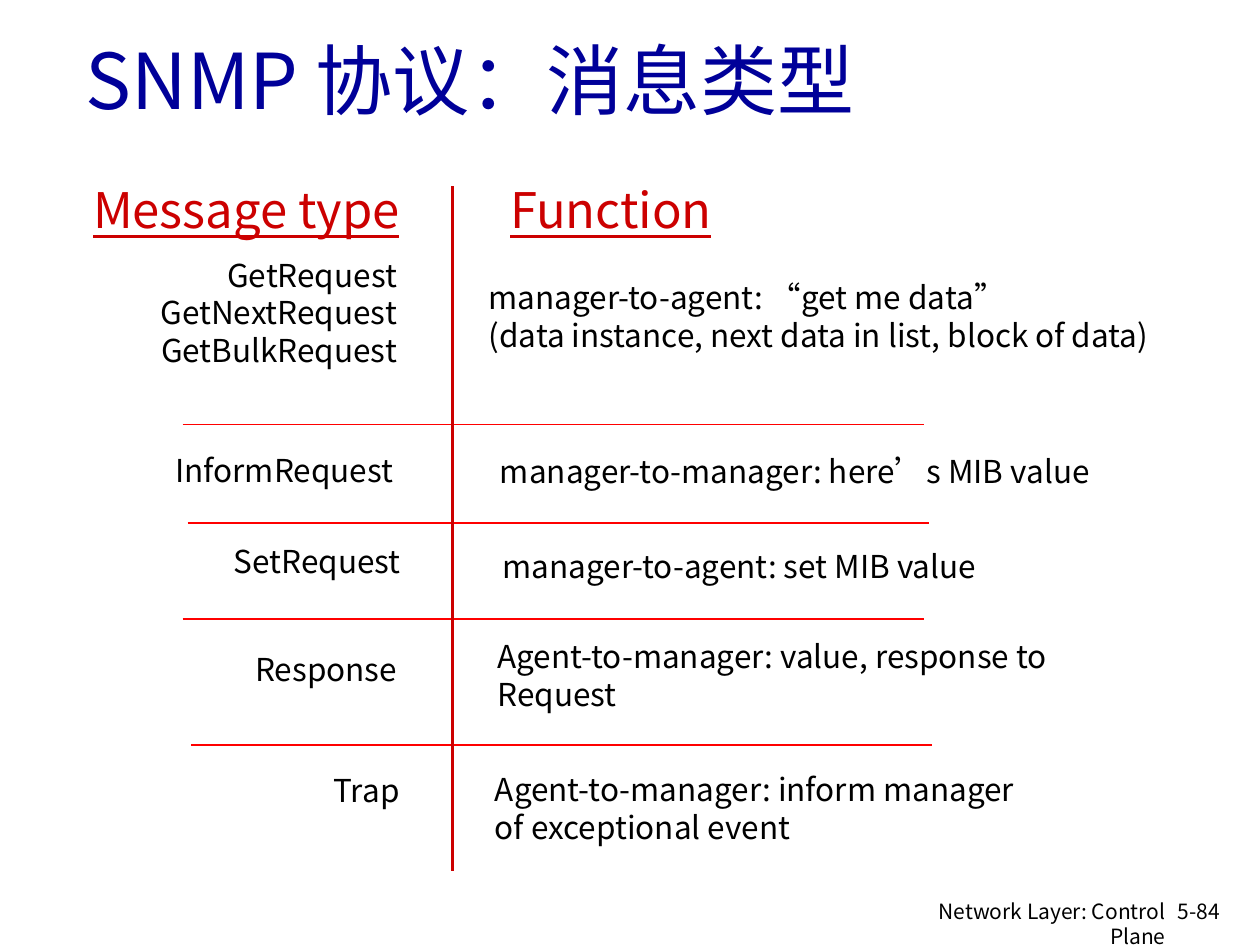
from lxml.etree import SubElement
from pptx import Presentation
from pptx.dml.color import RGBColor
from pptx.enum.shapes import MSO_CONNECTOR
from pptx.enum.text import MSO_ANCHOR, MSO_AUTO_SIZE, PP_ALIGN
from pptx.oxml.ns import qn
from pptx.util import Inches, Pt

FONT = "Noto Sans CJK SC"
NAVY = RGBColor(0x00, 0x00, 0x99)
CRIMSON = RGBColor(0xCC, 0x00, 0x00)
RED = RGBColor(0xFF, 0x00, 0x00)
BLACK = RGBColor(0x00, 0x00, 0x00)
LEFT, RIGHT = PP_ALIGN.LEFT, PP_ALIGN.RIGHT


def write(holder, text, size, color, align, underline=None):
    frame = holder.text_frame
    frame.text = text
    frame.word_wrap = True
    frame.auto_size = MSO_AUTO_SIZE.NONE
    for paragraph in frame.paragraphs:
        paragraph.alignment = align
        paragraph.line_spacing = Pt(size * 1.2)
        for run in paragraph.runs:
            run.font.size = Pt(size)
            run.font.name = FONT
            run.font.color.rgb = color
            run.font.underline = underline
            SubElement(run.font._element, qn("a:ea")).set("typeface", FONT)


def rule(x1, y1, x2, y2, color, width):
    line = slide.shapes.add_connector(
        MSO_CONNECTOR.STRAIGHT, Inches(x1), Inches(y1), Inches(x2), Inches(y2))
    line.line.color.rgb = color
    line.line.width = Pt(width)
    SubElement(line._element.spPr, qn("a:effectLst"))


prs = Presentation()
prs.slide_width = Inches(10)
prs.slide_height = Inches(7.5)
slide = prs.slides.add_slide(prs.slide_layouts[5])

title = slide.shapes.title
title.left, title.top = Inches(0.58), Inches(0)
title.width, title.height = Inches(8.5), Inches(1.25)
write(title, "SNMP 协议：消息类型", 44, NAVY, LEFT)
title.text_frame.vertical_anchor = MSO_ANCHOR.MIDDLE

headings = [
    ("Message type", 0.46, 2.81, RIGHT),
    ("Function", 3.95, 1.83, LEFT),
]
for heading, left, width, align in headings:
    box = slide.shapes.add_textbox(Inches(left), Inches(1.38), Inches(width), Inches(0.57))
    write(box, heading, 28, CRIMSON, align, underline=True)

message_types = [
    ("GetRequest\nGetNextRequest\nGetBulkRequest", 1.08, 1.98, 2.17, 1.01),
    ("InformRequest", 0.4, 3.53, 2.82, 0.4),
    ("SetRequest", 0.46, 4.25, 2.82, 0.4),
    ("Response", 0.43, 5.11, 2.82, 0.4),
    ("Trap", 0.45, 6.07, 2.82, 0.4),
]
functions = [
    ("manager-to-agent: “get me data”\n(data instance, next data in list, block of data)",
     3.78, 2.16, 5.69, 0.71),
    ("manager-to-manager: here’s MIB value", 3.87, 3.54, 4.93, 0.71),
    ("manager-to-agent: set MIB value", 3.89, 4.29, 4.67, 0.4),
    ("Agent-to-manager: value, response to\nRequest", 3.85, 5.01, 4.63, 1.01),
    ("Agent-to-manager: inform manager\nof exceptional event", 3.83, 6.06, 5.24, 0.71),
]
for entries, align in ((message_types, RIGHT), (functions, LEFT)):
    for text, left, top, width, height in entries:
        box = slide.shapes.add_textbox(Inches(left), Inches(top), Inches(width), Inches(height))
        write(box, text, 18, BLACK, align)

for left, y in ((1.45, 3.37), (1.49, 4.15), (1.45, 4.91), (1.52, 5.91)):
    rule(left, y, left + 5.88, y, RED, 1)
rule(3.59, 1.48, 3.59, 6.91, CRIMSON, 2)

footer = [
    ("5-84", 9.25, 0.6, 0.3, LEFT),
    ("Network Layer: Control Plane", 6.97, 2.38, 0.26, RIGHT),
]
for text, left, width, height, align in footer:
    box = slide.shapes.add_textbox(Inches(left), Inches(7.08), Inches(width), Inches(height))
    write(box, text, 12, BLACK, align)

prs.save("out.pptx")
